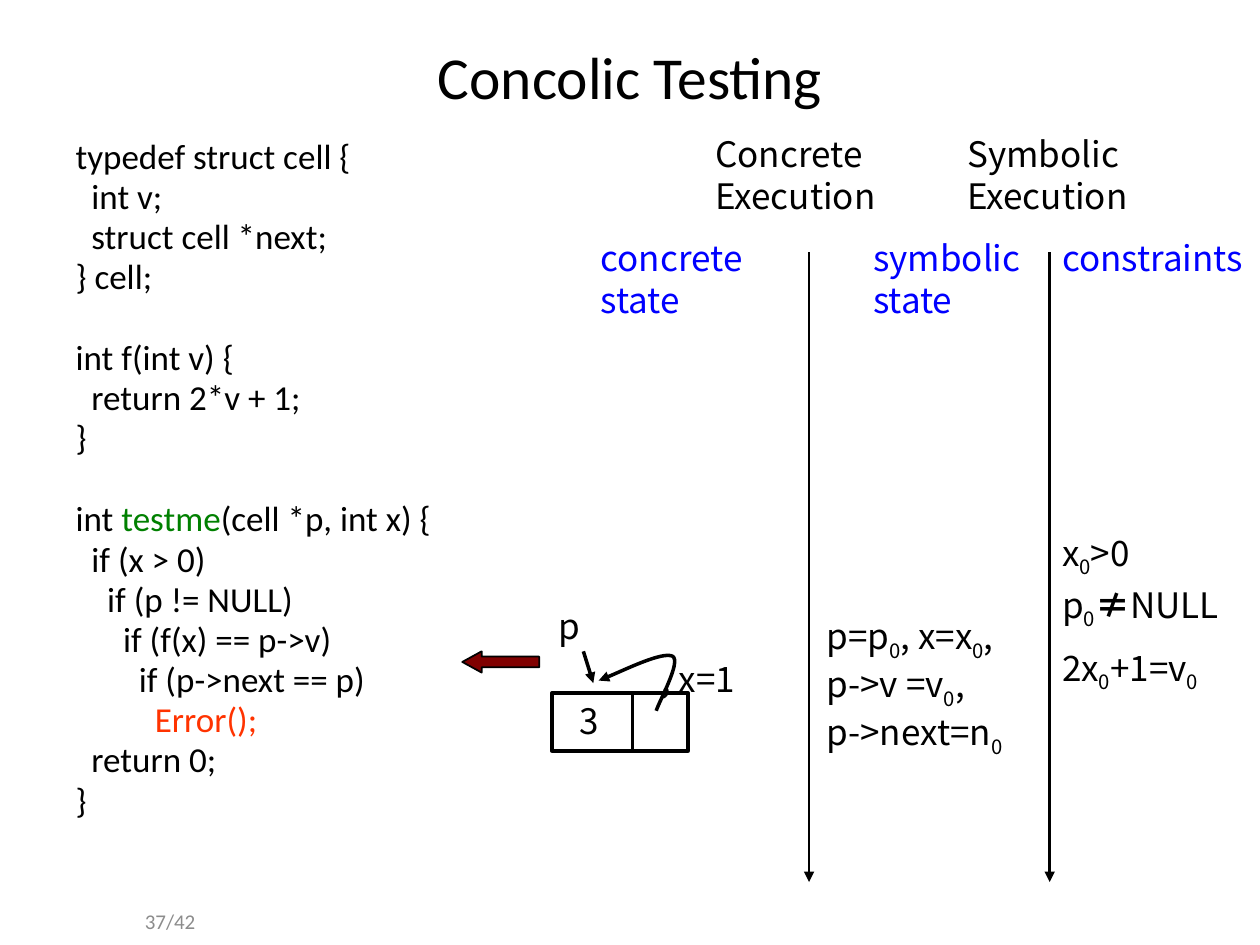
"""Build the Concolic Testing slide: code, concrete state and symbolic state."""
from dataclasses import dataclass

from lxml.etree import SubElement as Sub
from pptx import Presentation
from pptx.dml.color import RGBColor as Rgb
from pptx.enum.shapes import MSO_CONNECTOR as Link, MSO_SHAPE as Kind
from pptx.enum.text import MSO_ANCHOR as Anchor, MSO_AUTO_SIZE as Fit, PP_ALIGN as Align
from pptx.oxml.ns import qn
from pptx.util import Cm, Pt


@dataclass(frozen=True)
class Theme:
    ink: str = "000000"
    blue: str = "0000FF"
    green: str = "008000"
    red: str = "FF3300"
    dark: str = "800000"
    gray: str = "8C8C8C"
    sans: str = "Calibri"
    note: str = "Noto Sans CJK KR"
    head: int = 34
    text: int = 20
    foot: int = 12


T = Theme()
ZERO = ("0", "sub")

TITLE = "Concolic Testing"
CODE = [
    [
        ["typedef struct cell {"],
        ["  int v;"],
        ["  struct cell *next;"],
        ["} cell;"],
    ],
    [
        ["int f(int v) {"],
        ["  return 2*v + 1;"],
        ["}"],
    ],
    [
        ["int ", ("testme", T.green), "(cell *p, int x) {"],
        ["  if (x > 0)"],
        ["    if (p != NULL)"],
        ["      if (f(x) == p->v)"],
        ["        if (p->next == p)"],
        ["          ", ("Error();", T.red)],
        ["  return 0;"],
        ["}"],
    ],
]
HEADS = [(14.17, "Concrete Execution"), (19.25, "Symbolic Execution")]
STATES = [
    (11.86, 3.81, "concrete state"),
    (17.35, 3.81, "symbolic state"),
    (21.16, 4.24, "constraints"),
]
LIMITS = [
    (10.58, ["x", ZERO, ">0"]),
    (11.63, ["p", ZERO, ("≠", "bold"), "NULL"]),
    (12.9, ["2x", ZERO, "+1=v", ZERO]),
]
VALUES = ["p=p", ZERO, ", x=x", ZERO, ",", "\n", "p->v =v", ZERO, ",", "\n", "p->next=n", ZERO]
MEMORY = [(11, 12.06, 1.2, "p"), (13.08, 13.13, 3, ", x=1")]
LANES = [16.31, 21.16]
LOOP = [(13.23, 14.33), (13.28, 14.15), (13.74, 13.34), (13.56, 13.23),
        (13.36, 13.13), (12.37, 13.61), (12.07, 13.72)]


def write(par, runs, face=T.note, size=T.text, hue=T.ink):
    par.font.name, par.font.size = face, Pt(size)
    par.font.color.rgb = Rgb.from_string(hue)
    for item in runs:
        if item == "\n":
            par.add_line_break()
            continue
        words, look = (item, None) if isinstance(item, str) else item
        run = par.add_run()
        run.text = words
        if look == "sub":
            run._r.get_or_add_rPr().set("baseline", "-25000")
        elif look == "bold":
            run.font.bold = True
        elif look:
            run.font.color.rgb = Rgb.from_string(look)


def place(shape, *box):
    shape.left, shape.top, shape.width, shape.height = map(Cm, box)


def label(slide, box, runs, **style):
    frame = slide.shapes.add_textbox(*map(Cm, box)).text_frame
    frame.word_wrap = True
    write(frame.paragraphs[0], runs, **style)
    return frame


def stroke(shape, width, tip=False):
    shape.line.color.rgb = Rgb.from_string(T.ink)
    shape.line.width = Pt(width)
    if tip:
        Sub(shape.line._get_or_add_ln(), qn("a:tailEnd"), type="triangle")


def link(slide, ends, width, tip=True):
    line = slide.shapes.add_connector(Link.STRAIGHT, *map(Cm, ends))
    stroke(line, width, tip)
    Sub(line._element.spPr, qn("a:effectLst"))


def block(slide, kind, box, width):
    shape = slide.shapes.add_shape(kind, *map(Cm, box))
    shape.shadow.inherit = False
    shape.fill.background()
    stroke(shape, width)
    return shape


def curve(slide, spots):
    first, *rest = [(Cm(x), Cm(y)) for x, y in spots]
    pen = slide.shapes.build_freeform(*first)
    pen.add_line_segments(rest, close=False)
    shape = pen.convert_to_shape()
    shape.shadow.inherit = False
    shape.fill.background()
    stroke(shape, 2, True)
    track = next(shape._element.iter(qn("a:moveTo"))).getparent()
    legs = track.findall(qn("a:lnTo"))
    for i in range(0, len(legs), 3):
        bend = Sub(track, qn("a:cubicBezTo"))
        for leg in legs[i:i + 3]:
            bend.append(leg[0])
            track.remove(leg)


def listing(shape):
    frame = shape.text_frame
    frame.auto_size = Fit.NONE
    rows = [(row, part and not i) for part, rows in enumerate(CODE) for i, row in enumerate(rows)]
    for n, (row, gap) in enumerate(rows):
        par = frame.add_paragraph() if n else frame.paragraphs[0]
        prop = par._p.get_or_add_pPr()
        prop.set("marL", "0")
        prop.set("indent", "0")
        par.line_spacing = 0.8
        par.space_before = Pt(0 if not n else 27 if gap else 3.75)
        Sub(prop, qn("a:buNone"))
        write(par, row, T.sans)


def main():
    deck = Presentation()
    deck.slide_width, deck.slide_height = Cm(25.4), Cm(19.05)
    slide = deck.slides.add_slide(deck.slide_layouts[1])
    title, body = slide.placeholders
    place(title, 1.27, 0.76, 22.86, 1.55)
    title.text_frame.vertical_anchor = Anchor.MIDDLE
    title.text_frame.auto_size = Fit.NONE
    write(title.text_frame.paragraphs[0], [TITLE], T.sans, T.head)
    place(body, 1.27, 2.74, 11.23, 14.81)
    listing(body)

    foot = label(slide, (1.7, 18.06, 2.49, 1.02), ["37/42"], face=T.sans, size=T.foot, hue=T.gray)
    foot.vertical_anchor = Anchor.MIDDLE
    foot.paragraphs[0].alignment = Align.RIGHT

    for x in LANES:
        link(slide, (x, 5.08, x, 17.78), 1.5)
    for x, words in HEADS:
        label(slide, (x, 2.54, 4.24, 1.96), [words])
    for x, wide, words in STATES:
        label(slide, (x, 4.65, wide, 1.96), [words], hue=T.blue)
    for y, runs in LIMITS:
        label(slide, (LANES[1], y, 4.24, 1.09), runs)
    label(slide, (16.41, 12.27, 4.88, 2.79), VALUES)

    arrow = block(slide, Kind.LEFT_ARROW, (9.32, 13.13, 1.55, 0.43), 1)
    arrow.fill.solid()
    arrow.fill.fore_color.rgb = Rgb.from_string(T.dark)
    arrow.adjustments[1] = 0.91

    for x, y, wide, words in MEMORY:
        label(slide, (x, y, wide, 1.09), [words])
    link(slide, (11.76, 13.13, 11.96, 13.77), 2)
    cell = block(slide, Kind.RECTANGLE, (11.13, 13.97, 2.74, 1.17), 2).text_frame
    cell.vertical_anchor = Anchor.TOP
    cell.margin_left = Cm(0.55)
    cell.paragraphs[0].alignment = Align.LEFT
    write(cell.paragraphs[0], ["3"])
    link(slide, (12.75, 15.16, 12.75, 13.97), 2, False)
    curve(slide, LOOP)
    deck.save("out.pptx")


if __name__ == "__main__":
    main()
